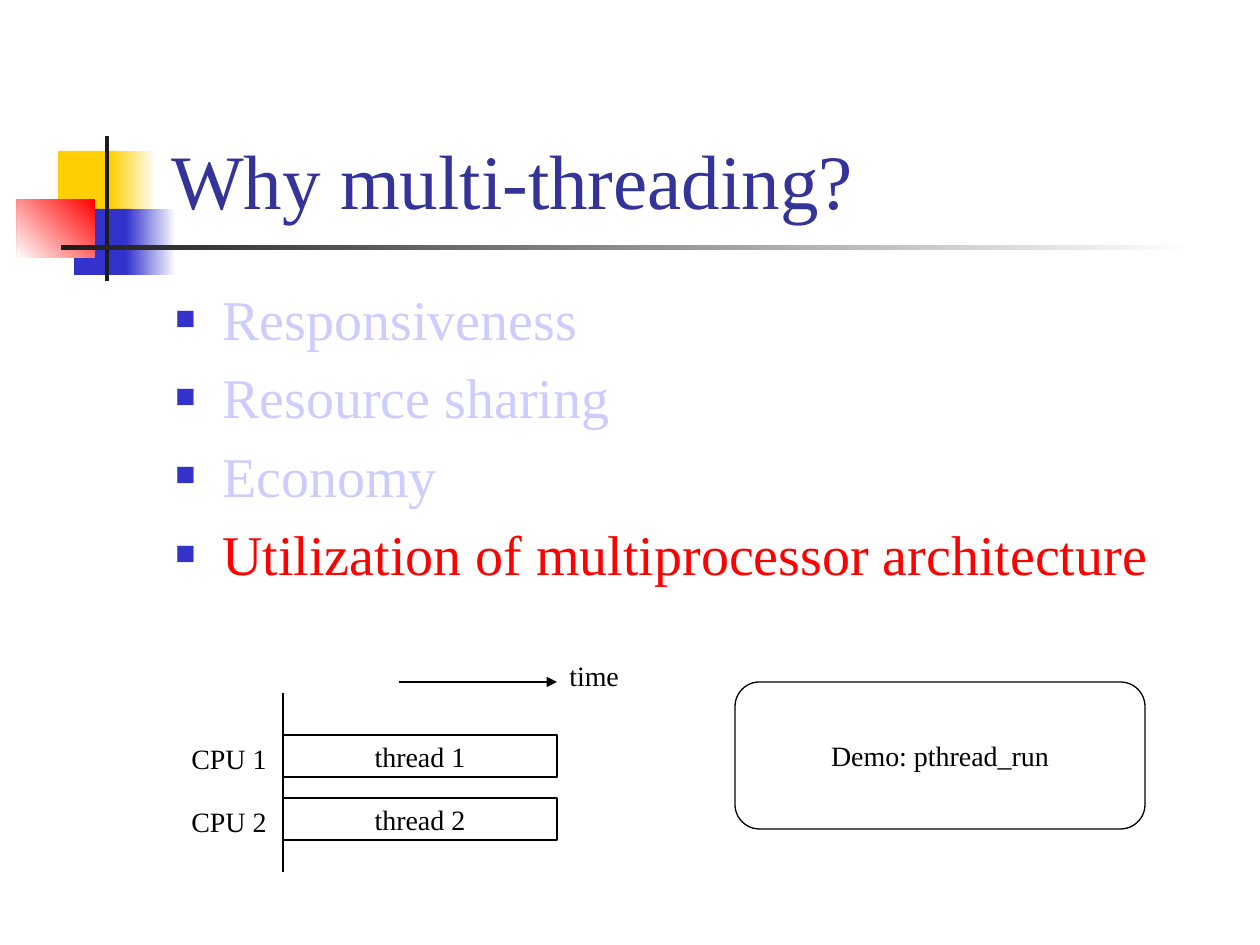
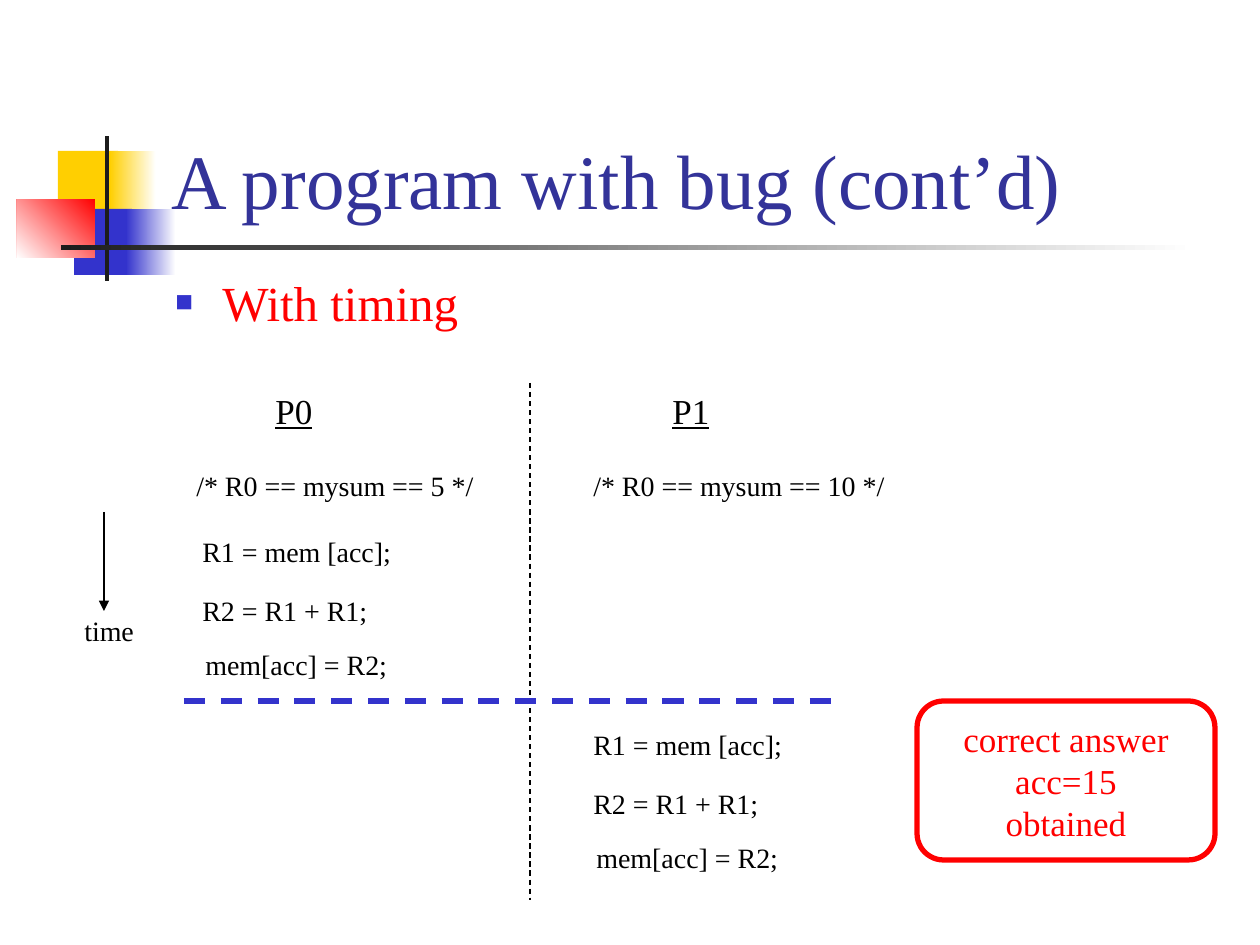
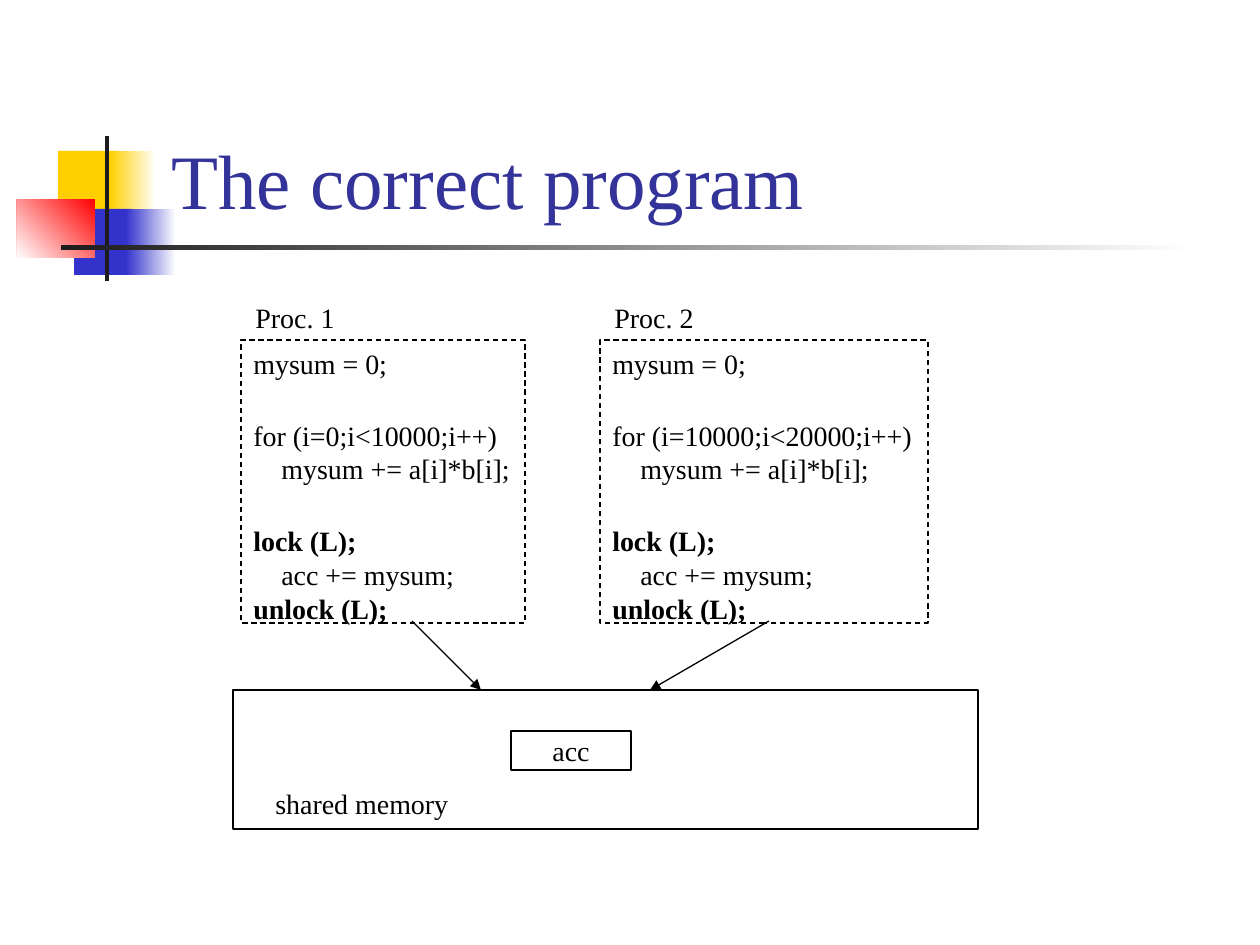
import pptx
import pptx.util
import pptx.dml.color
import pptx.enum.dml
import pptx.enum.shapes
import pptx.enum.text
import pptx.oxml
import pptx.oxml.ns
import lxml.etree

FONT = "Times New Roman"
HUES = {"ink": "000000", "title": "333399", "blue": "3333CC", "gold": "FFCF01",
        "red": "FF0000", "pale": "CCCCFF", "coal": "1C1C1C", "white": "FFFFFF"}
DECOR = [
    ((58, 151, 60, 66), ["gold"], 0),
    ((110, 151, 46, 66), ["white", "gold"], 180),
    ((74, 209, 58, 66), ["blue"], 0),
    ((126, 209, 50, 66), ["white", "blue"], 180),
    ((17, 199, 78, 59), ["red", "white"], 225),
    ((105, 136, 4, 145), ["coal"], 0),
    ((61, 245, 1134, 5), ["white", "coal"], 180),
]

REASONS = [("Responsiveness", "pale"), ("Resource sharing", "pale"), ("Economy", "pale"),
           ("Utilization of multiprocessor architecture", "red")]
THREADS = [("CPU 1", "thread 1"), ("CPU 2", "thread 2")]

STEPS = [("R1 = mem [acc];", 0, 0, 215), ("R2 = R1 + R1;", 0, 59, 190),
         ("mem[acc] = R2;", 3, 113, 208)]
TRACES = [("P0", "/* R0 == mysum == 5 */", 304, 184, 190, 528),
          ("P1", "/* R0 == mysum == 10 */", 318, 581, 581, 721)]
ANSWER = ["correct answer", "acc=15", "obtained"]

PROCS = [("Proc. 1", "for (i=0;i<10000;i++)", 241, 284),
         ("Proc. 2", "for (i=10000;i<20000;i++)", 600, 328)]
ARROWS = [((412, 621), (481, 690)), ((769, 621), (650, 690))]

KINDS = pptx.enum.shapes.MSO_SHAPE
ALIGN = pptx.enum.text.PP_ALIGN
ANCHOR = pptx.enum.text.MSO_ANCHOR


def px(*vals):
    return [pptx.util.Emu(round(val * 914400 / 126)) for val in vals]


def hue(name):
    return pptx.dml.color.RGBColor.from_string(HUES[name])


def add_tag(node, tag, **attrs):
    return lxml.etree.SubElement(node, pptx.oxml.ns.qn(tag), attrs)


def add_run(para, text, size, tint="ink", bold=False, under=False):
    run = para.add_run()
    run.text = text
    font = run.font
    font.name, font.size = FONT, pptx.util.Pt(size)
    font.bold, font.underline = bold, under
    font.color.rgb = hue(tint)


def next_para(frame, num):
    return frame.add_paragraph() if num else frame.paragraphs[0]


def indent(para, left, first=0):
    props = para._p.get_or_add_pPr()
    props.set("marL", str(px(left)[0]))
    props.set("indent", str(px(first)[0]))
    return props


def style_line(line, tint, weight, dash):
    line.color.rgb = hue(tint)
    line.width = pptx.util.Pt(weight)
    if dash:
        line.dash_style = pptx.enum.dml.MSO_LINE.DASH


def add_text(slide, box, wrap=True):
    frame = slide.shapes.add_textbox(*px(*box)).text_frame
    frame.word_wrap = wrap
    return frame


def add_label(slide, text, box, size=16, under=False):
    frame = add_text(slide, box, False)
    add_run(frame.paragraphs[0], text, size, under=under)


def add_box(slide, box, lines=(), kind=KINDS.RECTANGLE, tint="ink", size=16,
            weight=0.75, dash=False):
    shape = slide.shapes.add_shape(kind, *px(*box))
    shape.shadow.inherit = False
    shape.fill.background()
    style_line(shape.line, tint, weight, dash)
    frame = shape.text_frame
    frame.word_wrap = False
    frame.vertical_anchor = ANCHOR.MIDDLE
    for num, text in enumerate(lines):
        para = next_para(frame, num)
        para.alignment = ALIGN.CENTER
        add_run(para, text, size, tint)
    return frame


def add_line(slide, start, end, tint="ink", weight=0.75, dash=False, arrow=False):
    line = slide.shapes.add_connector(pptx.enum.shapes.MSO_CONNECTOR.STRAIGHT,
                                      *px(*start, *end))
    style_line(line.line, tint, weight, dash)
    if arrow:
        add_tag(line.line._get_or_add_ln(), "a:tailEnd", type="triangle")
    add_tag(line._element.spPr, "a:effectLst")


def add_list(slide, items, size, height, space=1.0):
    frame = add_text(slide, (163, 278, 1071, height))
    for num, (text, tint) in enumerate(items):
        para = next_para(frame, num)
        para.line_spacing = space
        para.space_before = pptx.util.Pt(size * 0.2)
        props = indent(para, 47, -47)
        add_tag(add_tag(props, "a:buClr"), "a:srgbClr", val=HUES["blue"])
        add_tag(props, "a:buSzPct", val="60000")
        add_tag(props, "a:buFont", typeface=FONT)
        add_tag(props, "a:buChar", char="■")
        add_run(para, text, size, tint)


def add_slide(deck, title):
    slide = deck.slides.add_slide(deck.slide_layouts[6])
    for box, tints, angle in DECOR:
        shape = slide.shapes.add_shape(KINDS.RECTANGLE, *px(*box))
        shape.shadow.inherit = False
        shape.line.fill.background()
        if len(tints) == 1:
            shape.fill.solid()
            shape.fill.fore_color.rgb = hue(tints[0])
        else:
            shape.fill.gradient()
            shape.fill.gradient_angle = angle
            for stop, tint in zip(shape.fill.gradient_stops, tints):
                stop.color.rgb = hue(tint)
    frame = add_text(slide, (159, 29, 1074, 202))
    frame.vertical_anchor = ANCHOR.BOTTOM
    add_run(frame.paragraphs[0], title, 44, "title")
    return slide


def draw_why(deck):
    slide = add_slide(deck, "Why multi-threading?")
    add_list(slide, REASONS, 32, 567)
    add_line(slide, (399, 682), (557, 682), arrow=True)
    add_label(slide, "time", (557, 652, 75, 47))
    add_line(slide, (283, 693), (283, 872))
    for num, (chip, thread) in enumerate(THREADS):
        top = 735 + 63 * num
        add_box(slide, (283, top, 274, 42), [thread])
        add_label(slide, chip, (179, top, 101, 47))
    add_box(slide, (735, 682, 410, 147), ["Demo: pthread_run"], KINDS.ROUNDED_RECTANGLE)


def draw_bug(deck):
    slide = add_slide(deck, "A program with bug (cont’d)")
    add_list(slide, [("With timing", "red")], 28, 66, 0.8)
    for head, note, wide, left, code, top in TRACES:
        add_label(slide, head, (left + 79, 383, 62, 54), 20, True)
        add_label(slide, note, (left, 462, wide, 47))
        for text, right, down, span in STEPS:
            add_label(slide, text, (code + right, top + down, span, 47))
    add_line(slide, (530, 383), (530, 900), dash=True)
    add_line(slide, (104, 512), (104, 611), arrow=True)
    add_label(slide, "time", (72, 607, 75, 47))
    add_line(slide, (184, 701), (838, 701), "blue", 3, True)
    add_box(slide, (917, 701, 298, 159), ANSWER, KINDS.ROUNDED_RECTANGLE, "red", 20, 3)


def draw_fix(deck):
    slide = add_slide(deck, "The correct program")
    for name, loop, left, wide in PROCS:
        frame = add_box(slide, (left, 340, wide, 283), dash=True)
        frame.vertical_anchor = ANCHOR.TOP
        code = [("mysum = 0;", 0, 0, False), (loop, 0, 22, False),
                ("mysum += a[i]*b[i];", 28, 0, False), ("lock (L);", 0, 22, True),
                ("acc += mysum;", 28, 0, False), ("unlock (L);", 0, 0, True)]
        for num, (text, inset, gap, bold) in enumerate(code):
            para = next_para(frame, num)
            para.alignment = ALIGN.LEFT
            para.space_before = pptx.util.Pt(gap)
            indent(para, inset)
            add_run(para, text, 16, bold=bold)
        add_label(slide, name, (left + 2, 294, 105, 47))
    add_box(slide, (233, 690, 745, 139))
    add_label(slide, "shared memory", (263, 780, 199, 47))
    add_box(slide, (511, 731, 120, 39), ["acc"])
    for start, end in ARROWS:
        add_line(slide, start, end, arrow=True)


def main():
    deck = pptx.Presentation()
    deck.slide_width, deck.slide_height = px(1260, 945)
    for draw in (draw_why, draw_bug, draw_fix):
        draw(deck)
    deck.save("out.pptx")


if __name__ == "__main__":
    main()
